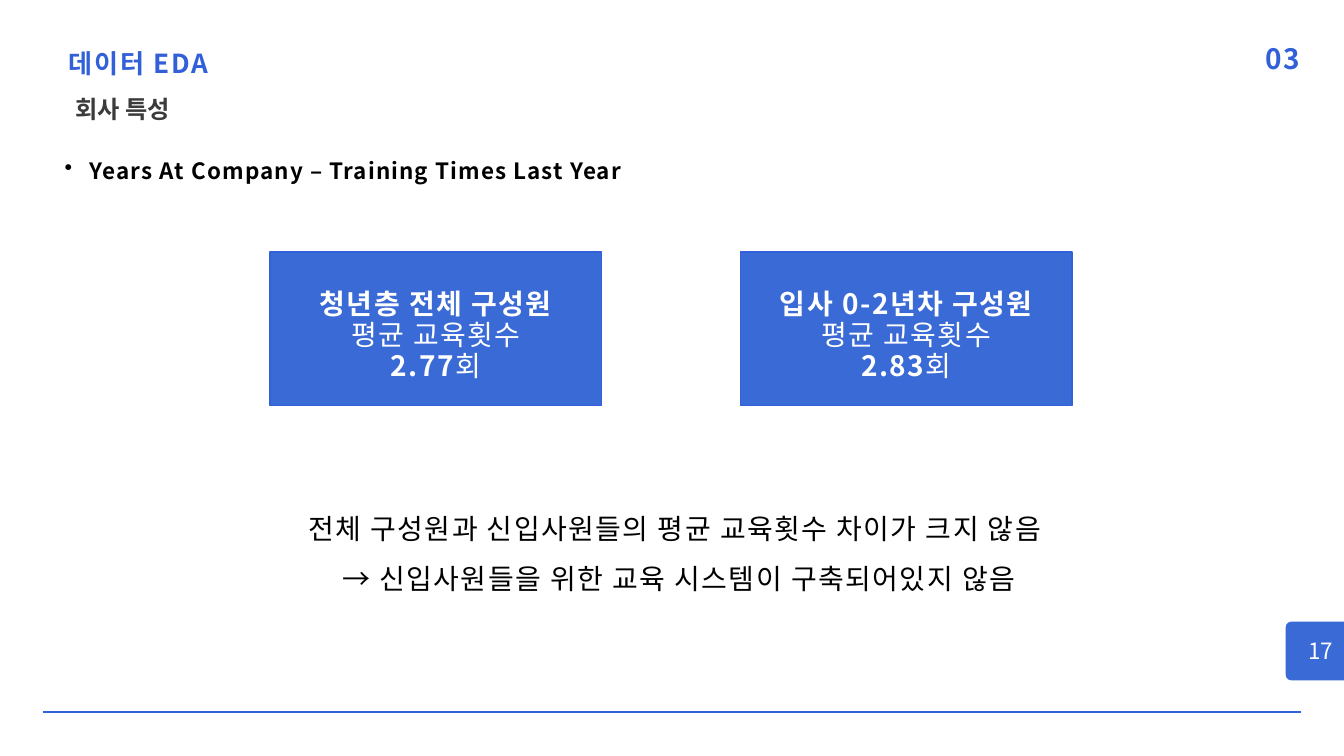
from lxml import etree
from pptx import Presentation
from pptx.dml.color import RGBColor
from pptx.enum import shapes, text
from pptx.oxml.ns import qn
from pptx.util import Pt

FONT = "Noto Sans CJK KR"
BLUE, FILL, WHITE, BLACK = "3160D8", "3A6AD6", "FFFFFF", "000000"
LEFT, MID, RIGHT = text.PP_ALIGN.LEFT, text.PP_ALIGN.CENTER, text.PP_ALIGN.RIGHT


def hue(code):
    return RGBColor.from_string(code)


def write(shape, lines, size=30, tone=BLACK, align=MID, lead=None, track=0,
          pad=(0, 0, 0, 0), anchor=text.MSO_ANCHOR.TOP, dot=False):
    frame = shape.text_frame
    frame.word_wrap = True
    frame.auto_size = text.MSO_AUTO_SIZE.NONE
    frame.vertical_anchor = anchor
    (frame.margin_left, frame.margin_top,
     frame.margin_right, frame.margin_bottom) = [Pt(n) for n in pad]
    for i, line in enumerate(lines):
        para = frame.add_paragraph() if i else frame.paragraphs[0]
        para.alignment = align
        para.line_spacing = lead
        if dot:
            prop = para._p.get_or_add_pPr()
            prop.set("marL", str(Pt(27)))
            prop.set("indent", str(-Pt(27)))
            etree.SubElement(prop, qn("a:buChar")).set("char", "•")
        for words, bold in line:
            run = para.add_run()
            run.text = words
            run.font.size = Pt(size)
            run.font.bold = bold
            run.font.color.rgb = hue(tone)
            run.font.name = FONT
            prop = run._r.get_or_add_rPr()
            prop.set("spc", str(round(track * 100)))
            etree.SubElement(prop, qn("a:ea")).set("typeface", FONT)


deck = Presentation()
deck.slide_width, deck.slide_height = Pt(1440), Pt(810)
slide = deck.slides.add_slide(deck.slide_layouts[5])
items = slide.shapes

rule = items.add_connector(shapes.MSO_CONNECTOR.STRAIGHT, Pt(46), Pt(763), Pt(1394), Pt(763))
rule.line.color.rgb = hue(BLUE)
rule.line.width = Pt(1.5)
etree.SubElement(rule._element.spPr, qn("a:effectLst"))

title = items.title
title.left, title.top, title.width, title.height = Pt(73.5), Pt(44.5), Pt(309), Pt(37.5)
write(title, [[("데이터 EDA", True)]], size=28, tone=BLUE, align=LEFT, lead=Pt(39.6), track=1.9)

notes = [
    ((1170, 47.5, 223, 34.5), [[("03", True)]],
     dict(tone=BLUE, align=RIGHT, lead=Pt(33), track=1.6)),
    ((76.5, 93.5, 109.5, 36), [[("회사 특성", True)]],
     dict(size=26, tone="3B3B3B", lead=Pt(39.2))),
    ((43, 170.5, 649.5, 26), [[("Years At Company – Training Times Last Year", True)]],
     dict(size=24, lead=Pt(26.4), track=1.2, dot=True)),
    ((289.5, 530, 868, 103),
     [[("전체 구성원과 신입사원들의 평균 교육횟수 차이가 크지 않음", False)],
      [(" → 신입사원들을 위한 교육 시스템이 구축되어있지 않음", False)]],
     dict(lead=1.5, track=1.6)),
]
for spot, lines, form in notes:
    write(items.add_textbox(*[Pt(n) for n in spot]), lines, **form)

cards = [("청년층 전체 구성원", "2.77"), ("입사 0-2년차 구성원", "2.83")]
for i, (group, mean) in enumerate(cards):
    card = items.add_shape(shapes.MSO_SHAPE.RECTANGLE,
                           Pt(289.5 + 504 * i), Pt(270), Pt(355), Pt(164.5))
    card.shadow.inherit = False
    card.fill.solid()
    card.fill.fore_color.rgb = hue(FILL)
    card.line.color.rgb = hue(BLUE)
    card.line.width = Pt(1.5)
    write(card, [[(group, True)], [("평균 교육횟수", False)], [(mean, True), ("회", False)]],
          tone=WHITE, lead=Pt(33), track=1.6, pad=(4, 18.5, 4, 4),
          anchor=text.MSO_ANCHOR.MIDDLE)

tab = items.add_shape(shapes.MSO_SHAPE.ROUNDED_RECTANGLE, Pt(1377.5), Pt(666), Pt(75), Pt(63))
tab.adjustments[0] = 0.1
tab.shadow.inherit = False
tab.fill.solid()
tab.fill.fore_color.rgb = hue(FILL)
tab.line.fill.background()
write(tab, [[("17", False)]], size=24, tone=WHITE, pad=(7, 3.5, 7, 3.5),
      anchor=text.MSO_ANCHOR.MIDDLE)

deck.save("out.pptx")
